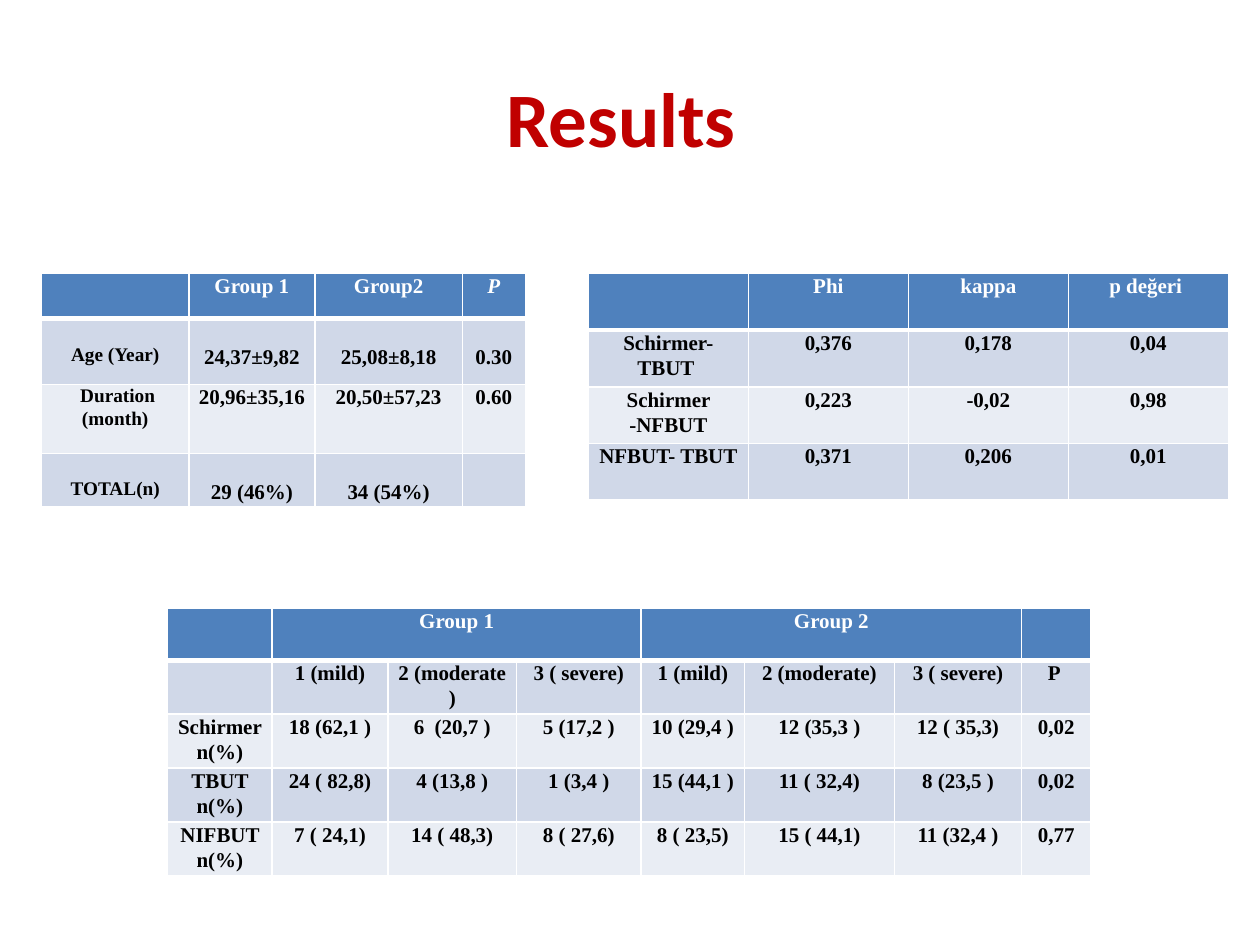
from dataclasses import dataclass

from lxml import etree
from pptx import Presentation
from pptx.dml.color import RGBColor
from pptx.enum import text
from pptx.oxml import ns
from pptx.util import Inches, Pt

COLORS = {
    "title": "C00000",
    "header": "4F81BD",
    "band_dark": "D0D8E8",
    "band_light": "E9EDF4",
    "header_text": "FFFFFF",
    "body_text": "000000",
    "border": "FFFFFF",
}
LINE_SPACING = 1.07
SERIF_LINE = 1.15  # line height of Times New Roman, in font sizes


@dataclass
class ResultTable:
    left: float
    top: float
    col_widths: list[float]
    row_heights: list[float]
    rows: list[list[str]]
    merges: tuple[tuple[int, int], ...] = ()  # first and last column in the header
    label_size: int = 12
    lowered_rows: tuple[int, ...] = ()  # rows whose text starts one line down
    italic_header: str = ""


def rgb(name: str) -> RGBColor:
    return RGBColor.from_string(COLORS[name])


def add_borders(cell, top: float, bottom: float) -> None:
    """Draw four solid borders, 1 pt wide at the sides."""
    properties = cell._tc.get_or_add_tcPr()
    widths = {"lnL": 1, "lnR": 1, "lnT": top, "lnB": bottom}
    for position, (tag, width) in enumerate(widths.items()):
        line = etree.Element(ns.qn(f"a:{tag}"), w=str(Pt(width)))
        fill = etree.SubElement(line, ns.qn("a:solidFill"))
        etree.SubElement(fill, ns.qn("a:srgbClr"), val=COLORS["border"])
        properties.insert(position, line)


def style_cell(cell, row: int, size: int, lowered: bool, italic: bool) -> None:
    is_header = row == 0
    cell.margin_left = cell.margin_right = Inches(0.07)
    cell.margin_top = Pt(size * SERIF_LINE * LINE_SPACING) if lowered else 0
    cell.margin_bottom = 0
    cell.fill.solid()
    band = "band_dark" if row % 2 else "band_light"
    cell.fill.fore_color.rgb = rgb("header" if is_header else band)
    add_borders(cell, top=3 if row == 1 else 1, bottom=3 if is_header else 1)

    paragraph = cell.text_frame.paragraphs[0]
    paragraph.alignment = text.PP_ALIGN.CENTER
    paragraph.line_spacing = LINE_SPACING
    font = paragraph.font
    font.name = "Times New Roman"
    font.size = Pt(size)
    font.bold = True
    font.italic = italic
    font.color.rgb = rgb("header_text" if is_header else "body_text")


def add_result_table(slide, content: ResultTable) -> None:
    table = slide.shapes.add_table(
        len(content.row_heights), len(content.col_widths),
        Inches(content.left), Inches(content.top),
        Inches(sum(content.col_widths)), Inches(sum(content.row_heights)),
    ).table
    table.horz_banding = False
    for column, width in zip(table.columns, content.col_widths):
        column.width = Inches(width)
    for table_row, height in zip(table.rows, content.row_heights):
        table_row.height = Inches(height)

    for row, values in enumerate(content.rows):
        for col, value in enumerate(values):
            cell = table.cell(row, col)
            cell.text = value
            size = content.label_size if col == 0 else 12
            italic = row == 0 and value != "" and value == content.italic_header
            style_cell(cell, row, size, row in content.lowered_rows and value != "", italic)
    for first, last in content.merges:
        table.cell(0, first).merge(table.cell(0, last))


def add_title(slide, title: str) -> None:
    frame = slide.shapes.add_textbox(
        Inches(0.5), Inches(0.3), Inches(9), Inches(1.25)).text_frame
    frame.word_wrap = True
    frame.vertical_anchor = text.MSO_ANCHOR.MIDDLE
    frame.text = title
    paragraph = frame.paragraphs[0]
    paragraph.alignment = text.PP_ALIGN.CENTER
    paragraph.font.name = "Calibri"
    paragraph.font.size = Pt(44)
    paragraph.font.bold = True
    paragraph.font.color.rgb = rgb("title")


DEMOGRAPHICS = ResultTable(
    0.33, 2.17, [1.17, 1, 1.17, 0.5], [0.36, 0.52, 0.55, 0.42],
    [
        ["", "Group 1", "Group2", "P"],
        ["Age (Year)", "24,37±9,82", "25,08±8,18", "0.30"],
        [" Duration (month)", "20,96±35,16", "20,50±57,23", "0.60"],
        ["TOTAL(n)", "29 (46%)", "34 (54%)", ""],
    ],
    label_size=11, lowered_rows=(1, 3), italic_header="P",
)

SEVERITY = ResultTable(
    1.33, 4.83, [0.83, 0.92, 1.02, 0.99, 0.82, 1.19, 1.01, 0.55], [0.41] * 5,
    [
        ["", " Group 1 ", "", "", "Group 2", "", "", ""],
        ["", "1 (mild)", "2 (moderate )", "3 ( severe)",
         "1 (mild)", "2 (moderate)", "3 ( severe)", "P "],
        ["Schirmer n(%)", "18 (62,1 )", "6  (20,7 )", "5 (17,2 )",
         "10 (29,4 )", "12 (35,3 )", "12 ( 35,3)", "0,02"],
        ["TBUT n(%)", "24 ( 82,8)", "4 (13,8 )", "1 (3,4 )",
         "15 (44,1 )", "11 ( 32,4)", "8 (23,5 )", "0,02"],
        ["NIFBUT n(%)", "7 ( 24,1)", "14 ( 48,3)", "8 ( 27,6)",
         "8 ( 23,5)", "15 ( 44,1)", "11 (32,4 )", "0,77"],
    ],
    merges=((1, 3), (4, 6)),
)

AGREEMENT = ResultTable(
    4.67, 2.17, [1.27] * 4, [0.45] * 4,
    [
        ["", "Phi", "kappa", "p değeri "],
        ["Schirmer- TBUT ", "0,376", "0,178", "0,04"],
        ["Schirmer -NFBUT", "0,223", "-0,02", "0,98"],
        ["NFBUT- TBUT", "0,371", "0,206", "0,01"],
    ],
)


def main() -> None:
    presentation = Presentation()
    presentation.slide_width = Inches(10)
    presentation.slide_height = Inches(7.5)
    slide = presentation.slides.add_slide(presentation.slide_layouts[6])
    add_title(slide, "Results ")
    for content in (DEMOGRAPHICS, SEVERITY, AGREEMENT):
        add_result_table(slide, content)
    presentation.save("out.pptx")


if __name__ == "__main__":
    main()
